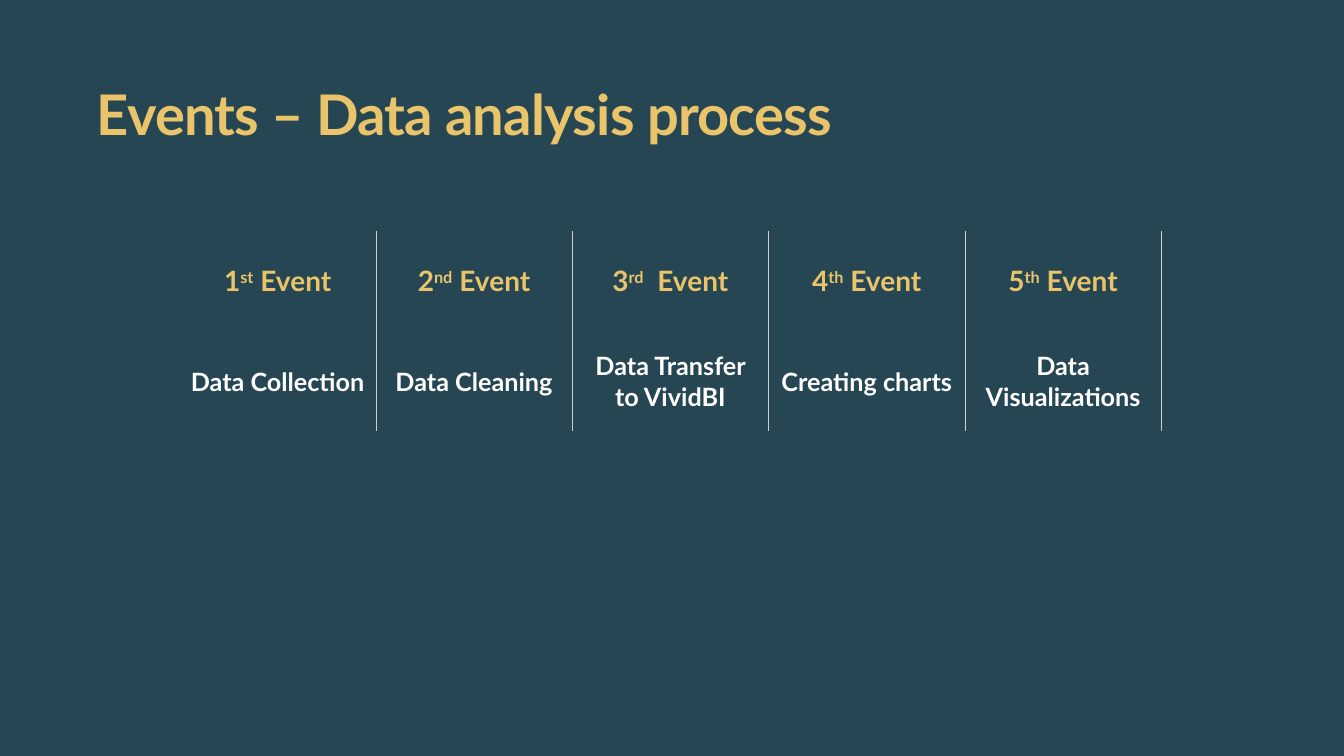
"""Build the slide that lists the five events of a data analysis process."""
from dataclasses import dataclass

from lxml import etree
from pptx import Presentation
from pptx.dml.color import RGBColor
from pptx.enum.text import MSO_ANCHOR, PP_ALIGN
from pptx.oxml.ns import qn
from pptx.slide import Slide
from pptx.table import Table, _Cell
from pptx.text.text import _Paragraph
from pptx.util import Pt

BOTTOM, MIDDLE = MSO_ANCHOR.BOTTOM, MSO_ANCHOR.MIDDLE
CENTER = PP_ALIGN.CENTER

TEAL = RGBColor(0x26, 0x46, 0x53)
GOLD = RGBColor(0xE9, 0xC4, 0x6A)
WHITE = RGBColor(0xFF, 0xFF, 0xFF)
RULE_GREY = RGBColor(0xCF, 0xCF, 0xCF)

NO_GRID_STYLE = "{2D5ABB26-0587-4C30-8999-92F81FD0307C}"
TITLE_FRAME = {"margin_left": 0, "margin_top": 0, "margin_right": 0,
               "margin_bottom": 0, "vertical_anchor": BOTTOM, "word_wrap": True}
COLUMN_WIDTH, ROW_HEIGHT = 140.26, 71.64
HEADING_SIZE, TASK_SIZE = 20, 18


@dataclass(frozen=True)
class Event:
    number: str
    suffix: str
    label: str
    task: str


EVENTS = [
    Event("1", "st", " Event", "Data Collection"),
    Event("2", "nd", " Event", "Data Cleaning"),
    Event("3", "rd", "  Event", "Data Transfer to VividBI"),
    Event("4", "th", " Event", "Creating charts"),
    Event("5", "th", " Event", "Data Visualizations"),
]


def add_span(para: _Paragraph, text: str, size: float, color: RGBColor,
             **extras: str) -> None:
    """Add a bold run, with extra run properties such as baseline."""
    span = para.add_run()
    span.text = text
    for name, value in {"name": "Lato", "size": Pt(size), "bold": True}.items():
        setattr(span.font, name, value)
    span.font.color.rgb = color
    for name, value in extras.items():
        span.font._element.set(name, value)


def add_title(page: Slide) -> None:
    """Place the slide title."""
    box = page.shapes.add_textbox(Pt(69.1), Pt(54.7), Pt(820), Pt(50.4))
    for name, value in TITLE_FRAME.items():
        setattr(box.text_frame, name, value)
    add_span(box.text_frame.paragraphs[0], "Events – Data analysis process",
             40, GOLD, spc="-50")


def add_rule(cell: _Cell, side: str) -> None:
    """Draw a thin grey border on one side of a cell."""
    line = etree.SubElement(cell._tc.get_or_add_tcPr(), qn(f"a:{side}"),
                            w=str(Pt(0.5)))
    fill = etree.SubElement(line, qn("a:solidFill"))
    etree.SubElement(fill, qn("a:srgbClr"), val=str(RULE_GREY))


def prepare_cell(table: Table, row: int, column: int, size: float) -> _Paragraph:
    """Format a cell and return its paragraph."""
    cell = table.cell(row, column)
    if column > 0:
        add_rule(cell, "lnL")
    add_rule(cell, "lnR")
    cell.fill.background()
    cell.vertical_anchor = MIDDLE
    para = cell.text_frame.paragraphs[0]
    for name, value in {"alignment": CENTER, "space_before": Pt(size * 0.2)}.items():
        setattr(para, name, value)
    return para


def add_event_table(page: Slide) -> None:
    """Place the table with one column for each event."""
    table = page.shapes.add_table(
        2, len(EVENTS), Pt(128.2), Pt(164.9),
        Pt(COLUMN_WIDTH * len(EVENTS)), Pt(ROW_HEIGHT * 2)).table
    for name in ("first_row", "horz_banding"):
        setattr(table, name, False)
    table._tbl.tblPr.find(qn("a:tableStyleId")).text = NO_GRID_STYLE
    for column, event in enumerate(EVENTS):
        heading = prepare_cell(table, 0, column, HEADING_SIZE)
        add_span(heading, event.number, HEADING_SIZE, GOLD)
        add_span(heading, event.suffix, HEADING_SIZE, GOLD, baseline="30000")
        add_span(heading, event.label, HEADING_SIZE, GOLD)
        task = prepare_cell(table, 1, column, TASK_SIZE)
        add_span(task, event.task, TASK_SIZE, WHITE)


def main() -> None:
    """Build and save the deck."""
    deck = Presentation()
    deck.slide_width, deck.slide_height = Pt(960), Pt(540)
    page = deck.slides.add_slide(deck.slide_layouts[6])
    page.background.fill.solid()
    page.background.fill.fore_color.rgb = TEAL
    add_title(page)
    add_event_table(page)
    deck.save("out.pptx")


if __name__ == "__main__":
    main()
